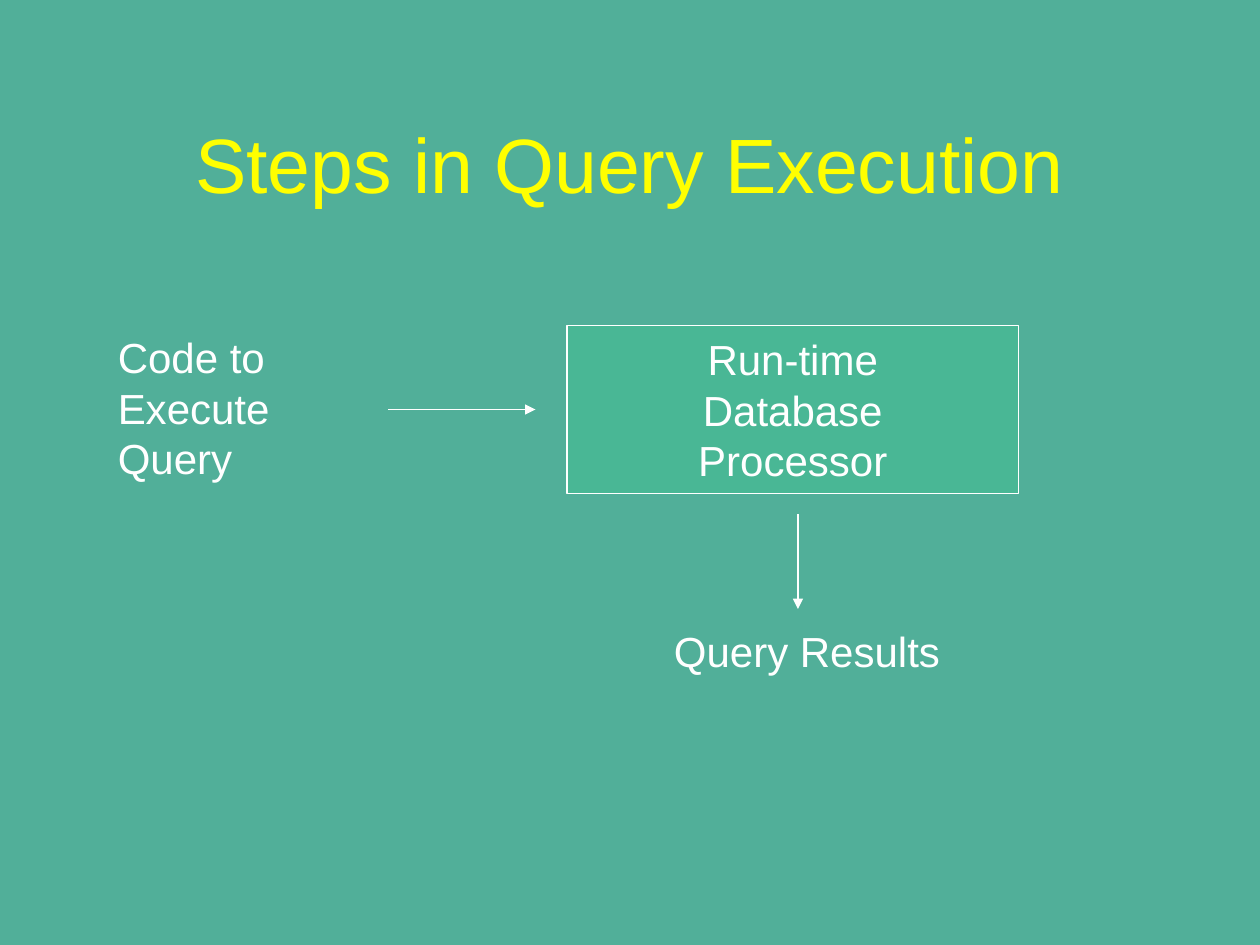
from dataclasses import dataclass

from lxml.etree import SubElement
from pptx import Presentation
from pptx.dml.color import RGBColor
from pptx.enum.shapes import MSO_CONNECTOR as Connector, MSO_SHAPE as Shape
from pptx.enum.text import MSO_ANCHOR as Anchor, MSO_AUTO_SIZE as AutoSize, PP_ALIGN as Align
from pptx.oxml.ns import qn
from pptx.slide import Slide
from pptx.util import Pt

TEAL = RGBColor(0x51, 0xAF, 0x99)
GREEN = RGBColor(0x49, 0xB7, 0x95)
YELLOW = RGBColor(0xFF, 0xFF, 0x00)
WHITE = RGBColor(0xFF, 0xFF, 0xFF)


@dataclass
class Diagram:
    slide: Slide
    font: str = "Arial"
    title_size: float = 44
    body_size: float = 24
    line_width: float = 0.75

    def background(self, color):
        fill = self.slide.background.fill
        fill.solid()
        fill.fore_color.rgb = color

    def add_lines(self, frame, lines, size, color, align):
        for index, line in enumerate(lines):
            paragraph = frame.paragraphs[0] if index == 0 else frame.add_paragraph()
            paragraph.alignment = align
            run = paragraph.add_run()
            run.text = line
            run.font.name = self.font
            run.font.size = Pt(size)
            run.font.color.rgb = color

    def title(self, line, left, top, width, height):
        frame = self.slide.shapes.add_textbox(Pt(left), Pt(top), Pt(width), Pt(height)).text_frame
        frame.word_wrap = True
        frame.vertical_anchor = Anchor.MIDDLE
        self.add_lines(frame, [line], self.title_size, YELLOW, Align.CENTER)

    def label(self, lines, left, top, width, height):
        frame = self.slide.shapes.add_textbox(Pt(left), Pt(top), Pt(width), Pt(height)).text_frame
        frame.word_wrap = False
        frame.auto_size = AutoSize.SHAPE_TO_FIT_TEXT
        self.add_lines(frame, lines, self.body_size, WHITE, Align.LEFT)

    def box(self, lines, left, top, width, height):
        box = self.slide.shapes.add_shape(Shape.RECTANGLE, Pt(left), Pt(top), Pt(width), Pt(height))
        box.shadow.inherit = False
        box.fill.solid()
        box.fill.fore_color.rgb = GREEN
        box.line.color.rgb = WHITE
        box.line.width = Pt(self.line_width)
        box.text_frame.word_wrap = False
        box.text_frame.vertical_anchor = Anchor.MIDDLE
        self.add_lines(box.text_frame, lines, self.body_size, WHITE, Align.CENTER)

    def arrow(self, start_x, start_y, end_x, end_y):
        arrow = self.slide.shapes.add_connector(
            Connector.STRAIGHT, Pt(start_x), Pt(start_y), Pt(end_x), Pt(end_y))
        arrow.line.color.rgb = WHITE
        arrow.line.width = Pt(self.line_width)
        properties = arrow.element.spPr
        SubElement(properties.find(qn("a:ln")), qn("a:tailEnd"), type="triangle")
        SubElement(properties, qn("a:effectLst"))


def main():
    deck = Presentation()
    deck.slide_width, deck.slide_height = Pt(720), Pt(540)
    diagram = Diagram(deck.slides.add_slide(deck.slide_layouts[6]))
    diagram.background(TEAL)
    diagram.title("Steps in Query Execution", 54, 48, 612, 90)
    diagram.label(["Code to", "Execute", "Query"], 60.25, 186, 105, 93.6)
    diagram.box(["Run-time", "Database", "Processor"], 324, 186, 258, 96)
    diagram.arrow(222, 234, 306, 234)
    diagram.arrow(456, 294, 456, 348)
    diagram.label(["Query Results"], 378, 354, 166.25, 36)
    deck.save("out.pptx")


if __name__ == "__main__":
    main()
